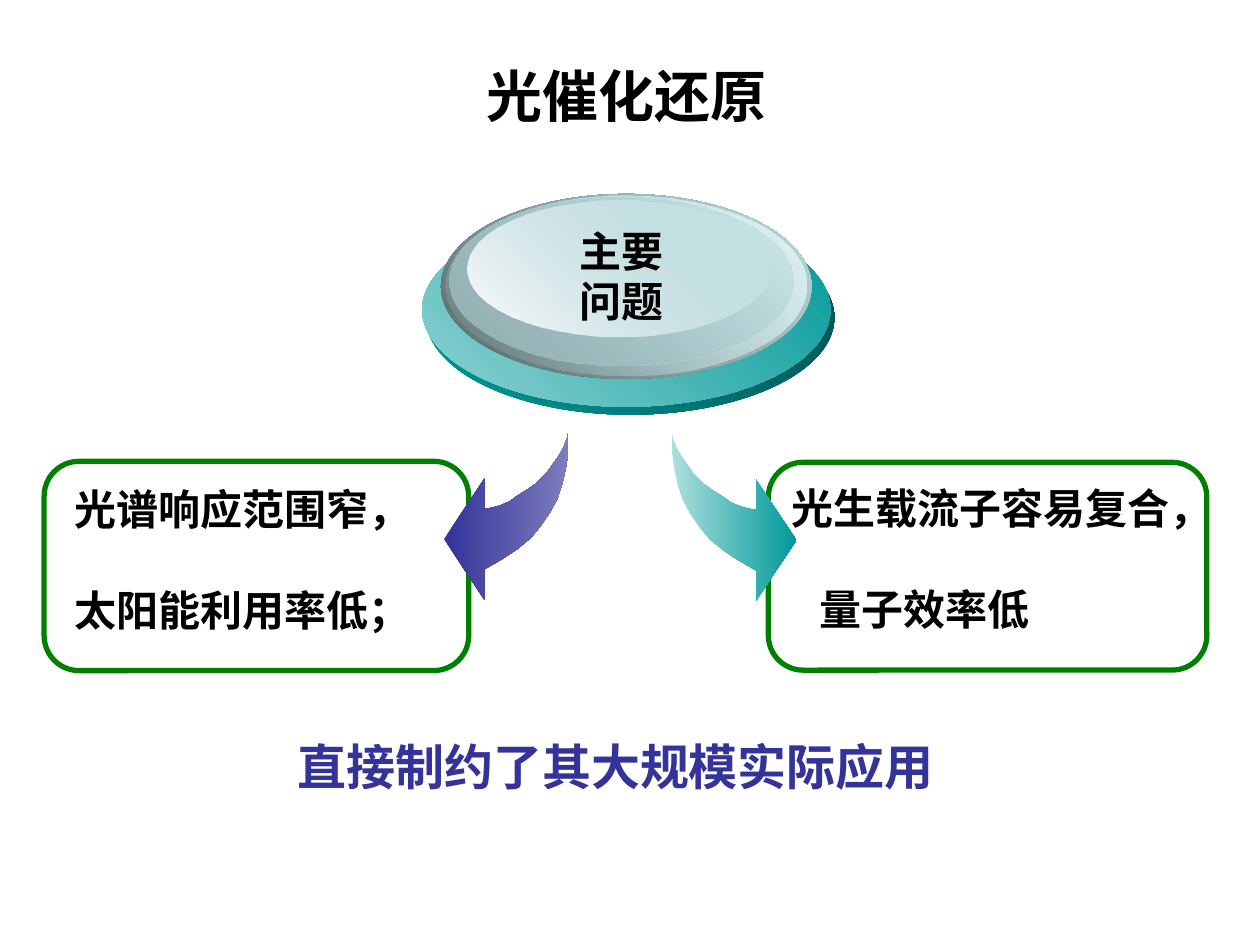
from dataclasses import dataclass
from typing import NamedTuple

from lxml import etree
from pptx import Presentation
from pptx.dml.color import RGBColor
from pptx.enum.shapes import MSO_SHAPE
from pptx.enum.text import MSO_ANCHOR, MSO_AUTO_SIZE, PP_ALIGN
from pptx.oxml.ns import qn
from pptx.util import Cm, Pt


@dataclass(frozen=True)
class Theme:
    cjk: str = "Noto Sans CJK SC"
    latin: str = "Arial"
    ink: str = "000000"
    accent: str = "333399"
    accent_light: str = "7D7DBE"
    teal: str = "009999"
    teal_light: str = "AEDFDF"
    border: str = "008000"
    title_size: int = 32
    conclusion_size: int = 28
    text_size: int = 24


class Box(NamedTuple):
    left: float
    top: float
    width: float
    height: float

    def lengths(self):
        return [Cm(value) for value in self]


class Stop(NamedTuple):
    color: str
    opacity: int = 100


class Disc(NamedTuple):
    box: Box
    start: Stop
    end: Stop


class Line(NamedTuple):
    text: str
    indent: float = 0
    space_before: float = 0


class Problem(NamedTuple):
    frame: Box
    text_box: Box
    lines: list[Line]
    arrow_left: float
    arrow_top: float
    head_color: str
    tail_color: str
    points_left: bool


THEME = Theme()
DISC_ANGLE = 315
LINE_GAP = 28.8

DISCS = [
    Disc(Box(8.59, 4.45, 8.23, 3.91), Stop(THEME.teal), Stop("004A4A")),
    Disc(Box(8.51, 4.29, 8.23, 3.91), Stop("8ED2D2"), Stop(THEME.teal)),
    Disc(Box(8.89, 3.91, 7.47, 3.73), Stop("576869"), Stop("BBE0E3")),
    Disc(Box(8.99, 3.94, 7.26, 3.63), Stop("BBE0E3", 0), Stop("E7F4F5")),
    Disc(Box(9.07, 3.96, 6.93, 3.4), Stop("94B1B4"), Stop("BBE0E3", 48)),
    Disc(Box(9.42, 4.04, 6.1, 2.74), Stop("FFFFFF"), Stop("BBE0E3", 38)),
]

PROBLEMS = [
    Problem(Box(0.89, 9.3, 8.56, 4.22), Box(1.25, 9.63, 7.62, 3.3),
            [Line("光谱响应范围窄，"), Line("太阳能利用率低；", space_before=LINE_GAP)],
            8.95, 8.66, THEME.accent, THEME.accent_light, True),
    Problem(Box(15.49, 9.32, 8.84, 4.19), Box(15.7, 9.6, 9.19, 3.3),
            [Line("光生载流子容易复合，"), Line("量子效率低", 0.57, LINE_GAP)],
            13.54, 8.68, THEME.teal, THEME.teal_light, False),
]

# Right-pointing curved arrow, in hundredths of an inch from its top left corner
ARROW_UNIT = Cm(0.0254)
ARROW_WIDTH = 99
ARROW = [(0, 0), (0, 15), (2, 29), (5, 43), (9, 55), (15, 66), (22, 76), (30, 86),
         (41, 95), (53, 103), (67, 111), (67, 135), (99, 87), (67, 39), (67, 63),
         (61, 62), (54, 60), (47, 57), (40, 52), (32, 47), (25, 42), (18, 35),
         (13, 28), (8, 21), (4, 14), (1, 6)]


def fill_gradient(shape, start: Stop, end: Stop, angle: int) -> None:
    """Fill with two stops that may be transparent; angle runs clockwise."""
    shape.fill.gradient()
    gradient = shape._element.spPr.find(qn("a:gradFill"))
    stops = gradient.find(qn("a:gsLst"))
    for old in list(stops):
        stops.remove(old)
    for position, stop in ((0, start), (100000, end)):
        item = etree.SubElement(stops, qn("a:gs"), pos=str(position))
        color = etree.SubElement(item, qn("a:srgbClr"), val=stop.color)
        if stop.opacity < 100:
            etree.SubElement(color, qn("a:alpha"), val=str(stop.opacity * 1000))
    direction = gradient.find(qn("a:lin"))
    direction.set("ang", str(angle * 60000))
    direction.set("scaled", "0")
    shape.line.fill.background()
    shape.shadow.inherit = False


def format_paragraph(paragraph, size: int, color: str, font: str) -> None:
    paragraph.font.name = font
    paragraph.font.size = Pt(size)
    paragraph.font.bold = True
    paragraph.font.color.rgb = RGBColor.from_string(color)
    for run in paragraph.runs:
        etree.SubElement(run._r.get_or_add_rPr(), qn("a:ea"), typeface=THEME.cjk)


def add_text(slide, box: Box, lines: list[Line], size: int = THEME.text_size,
             color: str = THEME.ink, font: str = THEME.cjk,
             align: PP_ALIGN = PP_ALIGN.LEFT) -> None:
    frame = slide.shapes.add_textbox(*box.lengths()).text_frame
    frame.word_wrap = True
    frame.auto_size = MSO_AUTO_SIZE.SHAPE_TO_FIT_TEXT
    for index, line in enumerate(lines):
        paragraph = frame.add_paragraph() if index else frame.paragraphs[0]
        paragraph.text = line.text
        paragraph.alignment = align
        if line.space_before:
            paragraph.space_before = Pt(line.space_before)
        if line.indent:
            paragraph._p.get_or_add_pPr().set("marL", str(Cm(line.indent)))
        format_paragraph(paragraph, size, color, font)


def add_title(slide, text: str) -> None:
    title = slide.shapes.title
    title.left, title.top, title.width, title.height = Box(3.71, 0.33, 17.86, 3.18).lengths()
    title.text_frame.vertical_anchor = MSO_ANCHOR.MIDDLE
    paragraph = title.text_frame.paragraphs[0]
    paragraph.text = text
    paragraph.alignment = PP_ALIGN.CENTER
    format_paragraph(paragraph, THEME.title_size, THEME.ink, THEME.cjk)


def add_disc(slide, disc: Disc) -> None:
    ellipse = slide.shapes.add_shape(MSO_SHAPE.OVAL, *disc.box.lengths())
    fill_gradient(ellipse, disc.start, disc.end, DISC_ANGLE)


def add_arrow(slide, problem: Problem) -> None:
    points = [(ARROW_WIDTH - x if problem.points_left else x, y) for x, y in ARROW]
    builder = slide.shapes.build_freeform(*points[0], scale=ARROW_UNIT)
    builder.add_line_segments(points[1:], close=True)
    arrow = builder.convert_to_shape(Cm(problem.arrow_left), Cm(problem.arrow_top))
    # The head colour lies on the side the arrow points to
    colors = [Stop(problem.head_color), Stop(problem.tail_color)]
    fill_gradient(arrow, *(colors if problem.points_left else reversed(colors)), angle=0)


def add_problem(slide, problem: Problem) -> None:
    frame = slide.shapes.add_shape(MSO_SHAPE.ROUNDED_RECTANGLE, *problem.frame.lengths())
    frame.fill.background()
    frame.line.color.rgb = RGBColor.from_string(THEME.border)
    frame.line.width = Pt(3)
    frame.shadow.inherit = False
    add_text(slide, problem.text_box, problem.lines)
    add_arrow(slide, problem)


def main() -> None:
    presentation = Presentation()
    presentation.slide_width, presentation.slide_height = Cm(25.4), Cm(19.05)
    slide = presentation.slides.add_slide(presentation.slide_layouts[5])
    add_title(slide, "光催化还原")
    for disc in DISCS:
        add_disc(slide, disc)
    add_text(slide, Box(11.32, 4.42, 2.4, 2.29), [Line("主要"), Line("问题")],
             font=THEME.latin, align=PP_ALIGN.CENTER)
    for problem in PROBLEMS:
        add_problem(slide, problem)
    add_text(slide, Box(5.64, 14.73, 13.54, 1.45), [Line("直接制约了其大规模实际应用")],
             THEME.conclusion_size, THEME.accent, align=PP_ALIGN.CENTER)
    presentation.save("out.pptx")


if __name__ == "__main__":
    main()
